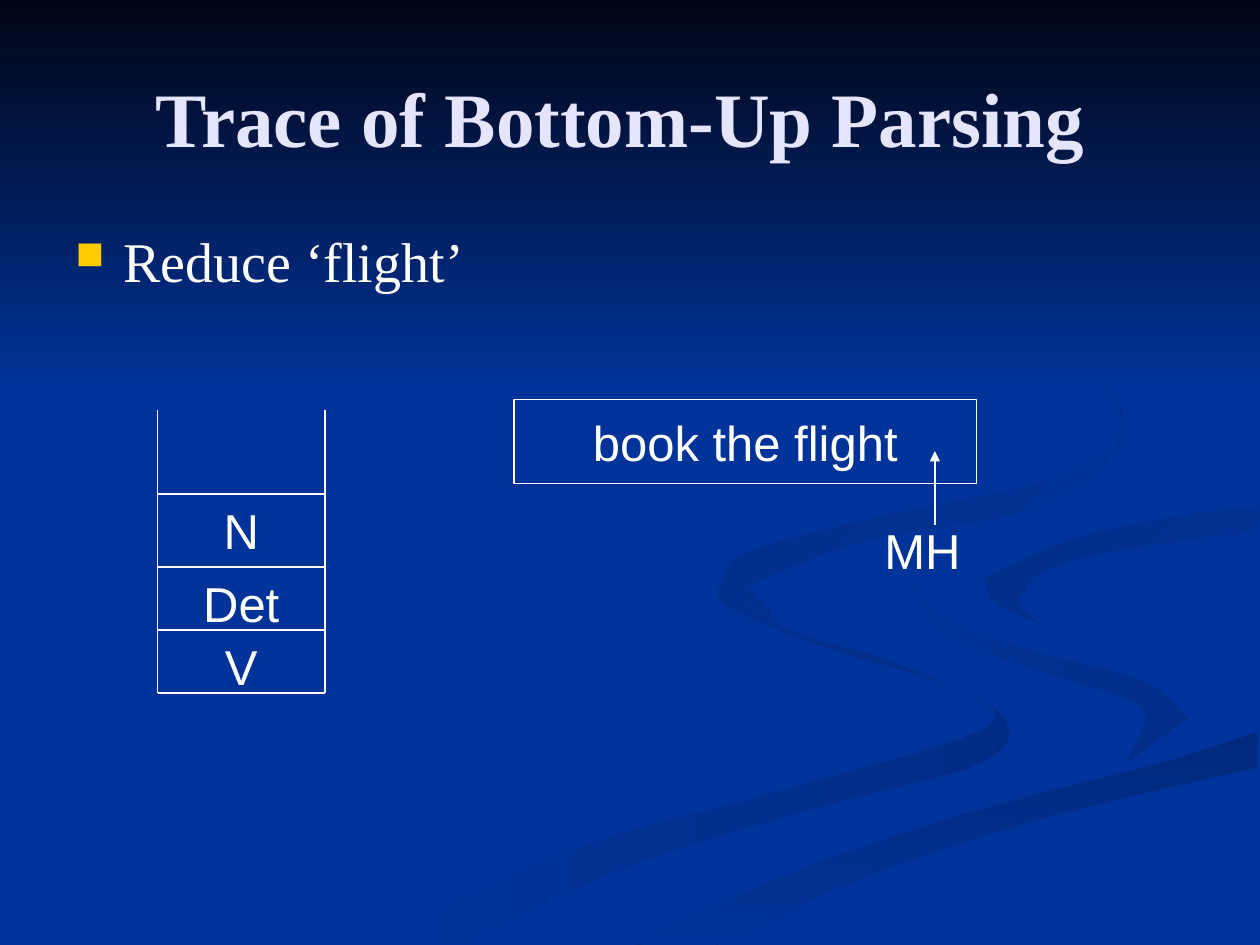
from dataclasses import dataclass

from lxml import etree
from pptx import Presentation
from pptx.dml.color import RGBColor
from pptx.enum.shapes import MSO_CONNECTOR, MSO_SHAPE
from pptx.enum.text import MSO_ANCHOR, MSO_AUTO_SIZE, PP_ALIGN
from pptx.oxml.ns import qn
from pptx.util import Inches, Pt

LINE = MSO_CONNECTOR.STRAIGHT
RECT = MSO_SHAPE.RECTANGLE
MIDDLE, TOP = MSO_ANCHOR.MIDDLE, MSO_ANCHOR.TOP
LEFT, CENTER = PP_ALIGN.LEFT, PP_ALIGN.CENTER
NO_FIT = MSO_AUTO_SIZE.NONE


@dataclass(frozen=True)
class Theme:
    back: str = "003399"
    night: str = "000514"
    shade: str = "002C85"
    deep: str = "00297C"
    title: str = "E5E5FF"
    ink: str = "FFFFFF"
    mark: str = "FFCC00"
    serif: str = "Times New Roman"
    sans: str = "Arial"
    head: int = 44
    body: int = 32
    label: int = 28
    rule: float = 0.75


THEME = Theme()

# Ribbons: first colour, last colour, clockwise angle, and two edges in inches
RIBBONS = [
    (THEME.shade, THEME.back, 180,
     [(5.75, 4.59), (5.76, 4.8), (6.54, 5.13), (7.62, 5.47), (7.8, 5.79),
      (6.16, 6.29), (4.58, 6.74), (3, 7.49)],
     [(3.61, 7.49), (4.99, 6.87), (6.51, 6.4), (7.8, 6.05), (7.95, 5.67),
      (7.15, 5.28), (6.14, 4.96), (5.75, 4.59)]),
    (THEME.shade, THEME.back, 225,
     [(7.24, 4.64), (7.55, 5.05), (8.38, 5.36), (9.07, 5.62), (8.94, 6.05)],
     [(9.43, 5.7), (9.05, 5.4), (8.11, 5.15), (7.45, 4.9), (7.24, 4.64)]),
    (THEME.deep, THEME.back, 90,
     [(5.03, 7.49), (5.71, 7.49), (6.7, 7.02), (8.21, 6.51), (9.98, 6.09)],
     [(9.98, 5.81), (9.2, 6.06), (7.64, 6.47), (6.3, 6.93), (5.03, 7.49)]),
    (THEME.back, THEME.shade, 225,
     [(7.81, 4.6), (7.91, 4.78), (8.26, 4.96)],
     [(8.06, 4.8), (8.28, 4.53), (8.96, 4.35), (9.98, 4.2), (9.98, 4.02),
      (8.65, 4.24), (7.81, 4.6)]),
    (THEME.back, THEME.shade, 225,
     [(7.62, 2.33), (8.46, 2.79), (8.89, 3.35), (8.42, 3.78), (7.04, 4.09),
      (5.97, 4.37), (5.77, 4.62), (6.22, 5)],
     [(5.94, 4.65), (6.83, 4.3), (8.25, 4.02), (8.94, 3.44), (8.54, 2.83),
      (7.62, 2.33)]),
]


def tone(code):
    return RGBColor.from_string(code)


def smooth(edge, steps=6):
    """Points on a Catmull-Rom curve through an open edge."""
    ends = [edge[0], *edge, edge[-1]]
    points = [edge[0]]
    for a, b, c, d in zip(ends, ends[1:], ends[2:], ends[3:]):
        for step in range(1, steps + 1):
            t = step / steps
            points.append(tuple(
                q + t * ((r - p) + t * ((2 * p - 5 * q + 4 * r - s)
                                        + t * (3 * q - p - 3 * r + s))) / 2
                for p, q, r, s in zip(a, b, c, d)))
    return points


def paint(shape, start, end, angle):
    """Fill a shape with a gradient and no outline."""
    shape.shadow.inherit = False
    shape.line.fill.background()
    shape.fill.gradient()
    shape.fill.gradient_angle = 360 - angle
    for stop, code in zip(shape.fill.gradient_stops, (start, end)):
        stop.color.rgb = tone(code)


def write(shape, text, font, size, color, align=CENTER, anchor=TOP, bold=False):
    frame = shape.text_frame
    frame.word_wrap = True
    frame.auto_size = NO_FIT
    frame.vertical_anchor = anchor
    para = frame.paragraphs[0]
    para.alignment = align
    run = para.add_run()
    run.text = text
    run.font.name, run.font.size, run.font.bold = font, Pt(size), bold
    run.font.color.rgb = tone(color)
    return para


def rule(slide, x1, y1, x2, y2):
    line = slide.shapes.add_connector(LINE, *map(Inches, (x1, y1, x2, y2)))
    line.line.color.rgb = tone(THEME.ink)
    line.line.width = Pt(THEME.rule)
    etree.SubElement(line._element.spPr, qn("a:effectLst"))
    return line


def label(slide, text, x, y, w, h, align=CENTER):
    box = slide.shapes.add_textbox(*map(Inches, (x, y, w, h)))
    write(box, text, THEME.sans, THEME.label, THEME.ink, align)


def backdrop(slide, w, band):
    """Flat ground, ribbons, and a dark band across the top."""
    slide.background.fill.solid()
    slide.background.fill.fore_color.rgb = tone(THEME.back)
    for start, end, angle, out, back in RIBBONS:
        points = [(Inches(x), Inches(y)) for x, y in smooth(out) + smooth(back)]
        path = slide.shapes.build_freeform(*points[0])
        path.add_line_segments(points[1:], close=True)
        paint(path.convert_to_shape(), start, end, angle)
    sky = slide.shapes.add_shape(RECT, 0, 0, Inches(w), Inches(band))
    paint(sky, THEME.night, THEME.back, 90)


def header(slide, x, y, w, h):
    title = slide.shapes.title
    title.left, title.top, title.width, title.height = map(Inches, (x, y, w, h))
    # The trailing space is part of the centred line
    write(title, "Trace of Bottom-Up Parsing ", THEME.serif, THEME.head,
          THEME.title, anchor=MIDDLE, bold=True)
    title._element.getparent().append(title._element)  # above the backdrop


def bullet(slide, x, y, w, h):
    box = slide.shapes.add_textbox(*map(Inches, (x, y, w, h)))
    para = write(box, "Reduce ‘flight’", THEME.serif, THEME.body, THEME.ink, LEFT)
    props = para._p.get_or_add_pPr()
    props.set("marL", str(Inches(0.38)))
    props.set("indent", str(Inches(-0.38)))
    color = etree.SubElement(props, qn("a:buClr"))
    etree.SubElement(color, qn("a:srgbClr"), val=THEME.mark)
    etree.SubElement(props, qn("a:buSzPct"), val="70000")
    etree.SubElement(props, qn("a:buChar"), char="■")


def stack(slide, x, y, w, h):
    """Open-topped stack; each cell has a line above its label."""
    for side in (x, x + w):
        rule(slide, side, y, side, y + h)
    rule(slide, x, y + h, x + w, y + h)
    for text, drop in (("N", 0.67), ("Det", 1.25), ("V", 1.75)):
        rule(slide, x, y + drop, x + w, y + drop)
        label(slide, text, x, y + drop, w, 0.57)


def tape(slide, x, y, w, h):
    """Input words with the reading head below them."""
    box = slide.shapes.add_shape(RECT, *map(Inches, (x, y, w, h)))
    box.shadow.inherit = False
    box.fill.background()
    box.line.color.rgb = tone(THEME.ink)
    box.line.width = Pt(THEME.rule)
    write(box, "book the flight", THEME.sans, THEME.label, THEME.ink, anchor=MIDDLE)
    label(slide, "MH", x + 2.84, y + 0.91, 0.92, 0.57, LEFT)
    arrow = rule(slide, x + 3.34, y + 1, x + 3.34, y + 0.41)
    etree.SubElement(arrow.line._get_or_add_ln(), qn("a:tailEnd"), type="triangle")


def main():
    deck = Presentation()
    deck.slide_width, deck.slide_height = Inches(10), Inches(7.5)
    slide = deck.slides.add_slide(deck.slide_layouts[5])
    backdrop(slide, 10, 3.08)
    header(slide, 0.5, 0.3, 9, 1.25)
    bullet(slide, 0.5, 1.75, 9, 4.95)
    stack(slide, 1.25, 3.25, 1.33, 2.25)
    tape(slide, 4.08, 3.17, 3.67, 0.67)
    deck.save("out.pptx")


if __name__ == "__main__":
    main()
